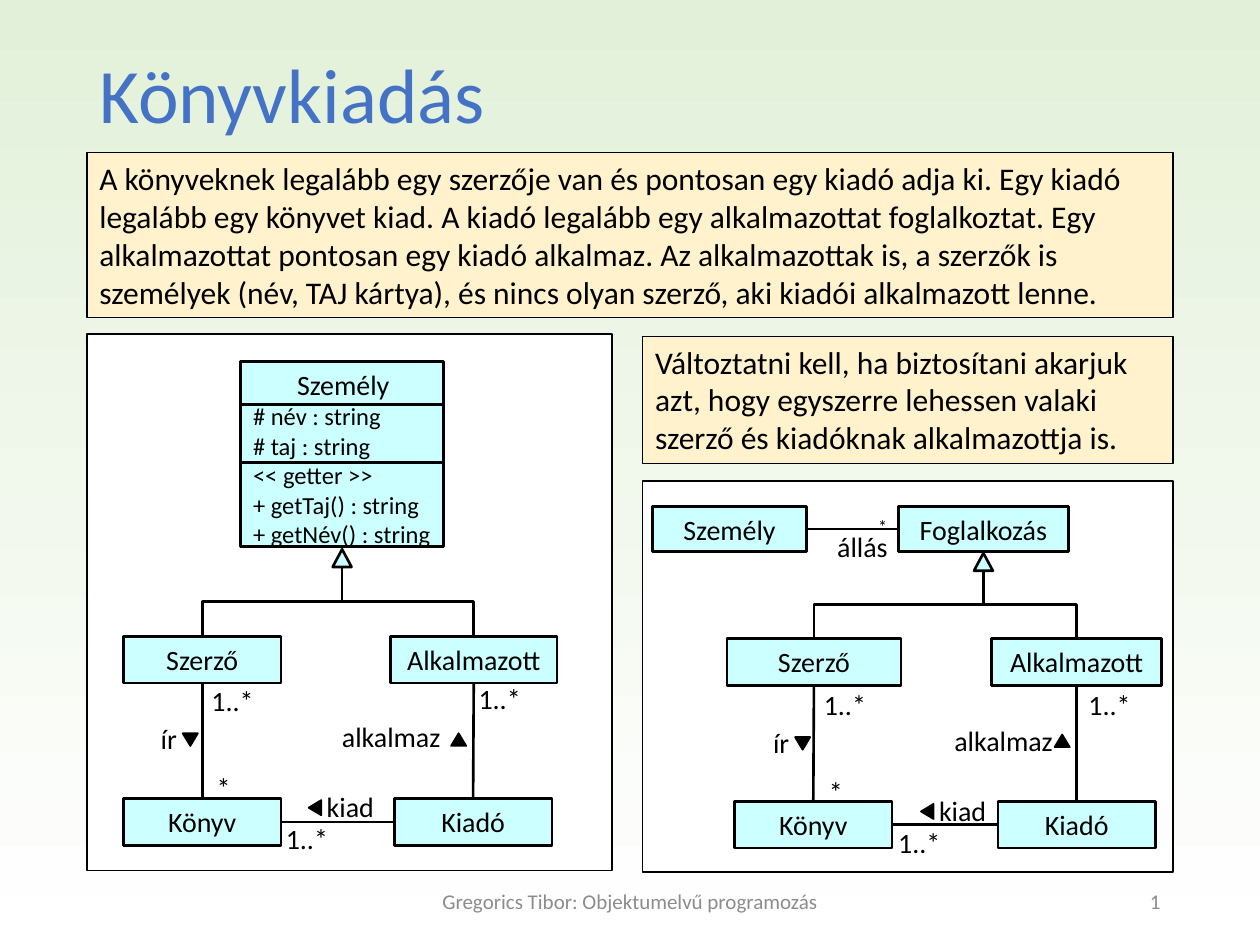
from pptx import Presentation
from pptx.dml.color import RGBColor
from pptx.enum.shapes import MSO_CONNECTOR, MSO_SHAPE
from pptx.enum.text import MSO_ANCHOR, MSO_AUTO_SIZE, PP_ALIGN
from pptx.oxml.ns import qn
from pptx.util import Inches, Pt

RECT, TRIANGLE = MSO_SHAPE.RECTANGLE, MSO_SHAPE.ISOSCELES_TRIANGLE
STRAIGHT, ELBOW = MSO_CONNECTOR.STRAIGHT, MSO_CONNECTOR.ELBOW
TOP, MIDDLE = MSO_ANCHOR.TOP, MSO_ANCHOR.MIDDLE
LEFT, CENTER, RIGHT = PP_ALIGN.LEFT, PP_ALIGN.CENTER, PP_ALIGN.RIGHT

BLACK = RGBColor(0x00, 0x00, 0x00)
WHITE = RGBColor(0xFF, 0xFF, 0xFF)
GREEN = RGBColor(0xE2, 0xF0, 0xD9)
CYAN = RGBColor(0xCC, 0xFF, 0xFF)
CREAM = RGBColor(0xFF, 0xF2, 0xCC)
BLUE = RGBColor(0x44, 0x72, 0xC4)
GRAY = RGBColor(0x8C, 0x8C, 0x8C)
FONT = "Calibri"

TITLE = "Könyvkiadás"
TASK = (
    "A könyveknek legalább egy szerzője van és pontosan egy kiadó adja ki. "
    "Egy kiadó legalább egy könyvet kiad. A kiadó legalább egy alkalmazottat "
    "foglalkoztat. Egy alkalmazottat pontosan egy kiadó alkalmaz. Az "
    "alkalmazottak is, a szerzők is személyek (név, TAJ kártya), és nincs "
    "olyan szerző, aki kiadói alkalmazott lenne."
)
CHANGE = (
    "Változtatni kell, ha biztosítani akarjuk azt, hogy egyszerre lehessen "
    "valaki szerző és kiadóknak alkalmazottja is."
)
FOOTER = "Gregorics Tibor: Objektumelvű programozás"
PERSON = "Személy"
PERSON_MEMBERS = ["# név : string", "# taj : string", "<< getter >>",
                  "+ getTaj() : string", "+ getNév() : string"]

PANELS = [(5.1, 3.82, 4.21, 3.1), (0.69, 2.65, 4.17, 4.26)]
PERSON_BOX = (1.91, 2.87, 1.61, 1.47)
ATTRIBUTE_BOX = (1.91, 3.21, 1.61, 0.46)
ROLE_PERSON_BOX = (5.18, 4.02, 1.22, 0.36)
ROLE_BOX = (7.13, 4.02, 1.35, 0.36)

# Labels and reading-direction marks both diagrams share, before the offset
ROLE_NAMES = [("ír", 1.17, 5.68, 0.34), ("alkalmaz", 2.55, 5.66, 1.11),
              ("kiad", 2.42, 6.22, 0.72)]
MULTIPLICITIES = [("1..*", 1.58, 5.38, 0.54), ("1..*", 2.17, 6.47, 0.54),
                  ("*", 1.62, 6.07, 0.31)]
DIRECTION_MARKS = [(1.45, 5.82, 180), (2.44, 6.36, 270)]

DIAGRAMS = [
    {"offset": (0, 0), "inheritance": (2.64, 4.36),
     "Szerző": (0.98, 5.05, 1.25, 0.37),
     "Alkalmazott": (3.1, 5.05, 1.32, 0.37),
     "Könyv": (0.98, 6.34, 1.25, 0.37),
     "Kiadó": (3.13, 6.34, 1.25, 0.37),
     "employs mark": (3.58, 5.82), "employee count": (3.7, 5.36)},
    {"offset": (4.86, 0.03), "inheritance": (7.73, 4.39),
     "Szerző": (5.77, 5.07, 1.38, 0.37),
     "Alkalmazott": (7.87, 5.07, 1.35, 0.37),
     "Könyv": (5.83, 6.36, 1.25, 0.37),
     "Kiadó": (7.92, 6.36, 1.25, 0.37),
     "employs mark": (8.37, 5.83), "employee count": (8.54, 5.41)},
]
CLASSES = ["Szerző", "Alkalmazott", "Könyv", "Kiadó"]

deck = Presentation()
deck.slide_width, deck.slide_height = Inches(10), Inches(7.5)
page = deck.slides.add_slide(deck.slide_layouts[6])


def inches(values):
    return [Inches(value) for value in values]


def add_para(frame, text, size, color=BLACK, align=LEFT, first=True):
    para = frame.paragraphs[0] if first else frame.add_paragraph()
    para.alignment = align
    span = para.add_run()
    span.text = text
    span.font.name, span.font.size = FONT, Pt(size)
    span.font.color.rgb = color
    return para


def add_box(place, fill=None, line=1.5, kind=RECT, turn=0):
    box = page.shapes.add_shape(kind, *inches(place))
    box.shadow.inherit = False
    box.rotation = turn
    if fill is None:
        box.fill.background()
    else:
        box.fill.solid()
        box.fill.fore_color.rgb = fill
    box.line.color.rgb, box.line.width = BLACK, Pt(line)
    box.text_frame.word_wrap = True
    box.text_frame.vertical_anchor = TOP
    return box


def add_class(name, place):
    box = add_box(place, CYAN)
    add_para(box.text_frame, name, 16, align=CENTER)
    return box


def add_note(text, place, line, anchor=TOP):
    frame = add_box(place, CREAM, line).text_frame
    frame.vertical_anchor = anchor
    add_para(frame, text, 18)


def add_text(text, place, size=16, color=BLACK, align=CENTER, wrap=True,
             grow=True, anchor=TOP):
    frame = page.shapes.add_textbox(*inches(place)).text_frame
    frame.word_wrap = wrap
    frame.auto_size = MSO_AUTO_SIZE.SHAPE_TO_FIT_TEXT if grow else MSO_AUTO_SIZE.NONE
    frame.vertical_anchor = anchor
    return add_para(frame, text, size, color, align)


def add_line(start, end, kind=STRAIGHT):
    line = page.shapes.add_connector(kind, *inches((*start, *end)))
    line.line.color.rgb, line.line.width = BLACK, Pt(1.5)
    properties = line.element.spPr
    properties.append(properties.makeelement(qn("a:effectLst"), {}))
    return line


def add_vertical_elbow(start, end):
    """Lay the elbow on its side, then turn it so that it leaves vertically."""
    middle_x, middle_y = (start[0] + end[0]) / 2, (start[1] + end[1]) / 2
    across, down = start[0] - middle_x, start[1] - middle_y
    line = add_line((middle_x + down, middle_y - across),
                    (middle_x - down, middle_y + across), ELBOW)
    line.element.spPr.find(qn("a:xfrm")).set("rot", str(90 * 60000))


def edge(place, side_x, side_y):
    """Point on a box, with sides given as shares of its width and height."""
    left, top, width, height = place
    return left + width * side_x, top + height * side_y


def add_mark(x, y, turn=0):
    add_box((x, y, 0.12, 0.1), BLACK, 1, TRIANGLE, turn)


def add_diagram(diagram):
    shift_x, shift_y = diagram["offset"]
    author, employee, book, publisher = (diagram[name] for name in CLASSES)
    triangle = (*diagram["inheritance"], 0.15, 0.14)
    add_box(triangle, CYAN, kind=TRIANGLE)
    for child in (author, employee):
        add_vertical_elbow(edge(child, 0.5, 0), edge(triangle, 0.5, 1))
    add_line(edge(publisher, 0, 0.5), edge(book, 1, 0.5))
    add_line(edge(book, 0.5, 0), edge(author, 0.5, 1))
    add_line(edge(publisher, 0.5, 0), edge(employee, 0.5, 1))
    for name in CLASSES:
        add_class(name, diagram[name])
    for x, y, turn in DIRECTION_MARKS:
        add_mark(x + shift_x, y + shift_y, turn)
    add_mark(*diagram["employs mark"])
    for text, x, y, width in ROLE_NAMES:
        add_text(text, (x + shift_x, y + shift_y, width, 0.37))
    counts = [(text, x + shift_x, y + shift_y, width)
              for text, x, y, width in MULTIPLICITIES]
    counts.append(("1..*", *diagram["employee count"], 0.54))
    for text, x, y, width in counts:
        add_text(text, (x, y, width, 0.37), align=LEFT, wrap=False)


background = page.background.fill
background.gradient()
background.gradient_angle = 90
for stop, color in zip(background.gradient_stops, (WHITE, GREEN)):
    stop.color.rgb = color

for panel in PANELS:
    add_box(panel, WHITE, 1)

person = add_class(PERSON, PERSON_BOX).text_frame
person.margin_right = Inches(0.08)
for member in PERSON_MEMBERS:
    add_para(person, member, 14, first=False)
add_box(ATTRIBUTE_BOX)

add_class(PERSON, ROLE_PERSON_BOX)
add_class("Foglalkozás", ROLE_BOX)
add_line(edge(ROLE_PERSON_BOX, 1, 0.5), edge(ROLE_BOX, 0, 0.5))
star = add_text("*", (6.86, 3.91, 0.29, 0.3), 18, wrap=False)
star.runs[0].font._element.set("baseline", "-10000")
add_text("állás", (6.48, 4.15, 0.73, 0.37))

for diagram in DIAGRAMS:
    add_diagram(diagram)

add_note(TASK, (0.69, 1.21, 8.62, 1.31), 1, MIDDLE)
add_note(CHANGE, (5.1, 2.67, 4.21, 1.01), 0.75)
title = add_text(TITLE, (0.69, 0.4, 8.62, 1.45), 44, BLUE, LEFT, grow=False)
title.line_spacing = 0.9
add_text(FOOTER, (3.31, 6.95, 3.38, 0.4), 12, GRAY, grow=False, anchor=MIDDLE)
add_text("1", (7.06, 6.95, 2.25, 0.4), 12, GRAY, RIGHT, grow=False, anchor=MIDDLE)

deck.save("out.pptx")
